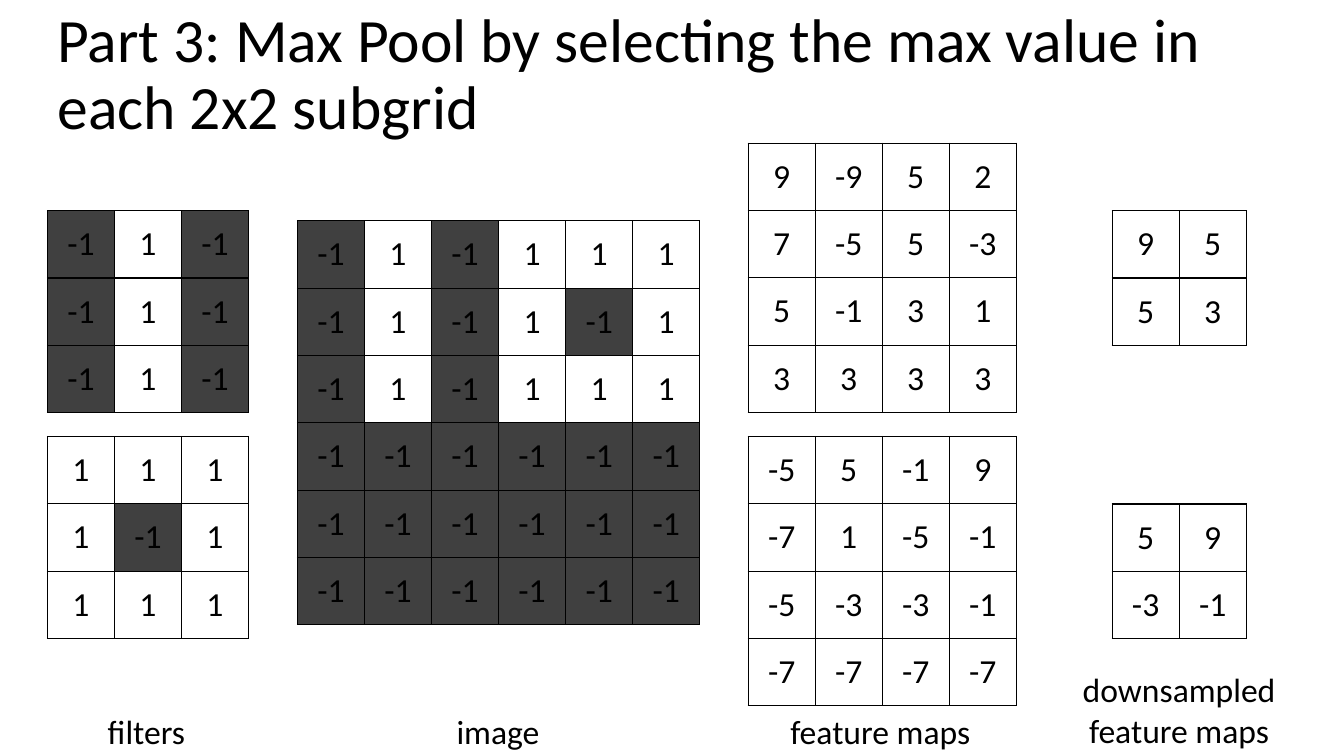
from dataclasses import dataclass

from lxml.etree import SubElement
from pptx import Presentation
from pptx.dml.color import RGBColor
from pptx.enum.text import MSO_ANCHOR as Anchor, MSO_AUTO_SIZE as AutoSize, PP_ALIGN as Align
from pptx.oxml.ns import qn
from pptx.slide import Slide
from pptx.table import _Cell as Cell
from pptx.text.text import TextFrame
from pptx.util import Inches, Pt

BLACK = RGBColor(0x00, 0x00, 0x00)
WHITE = RGBColor(0xFF, 0xFF, 0xFF)
DARK = RGBColor(0x40, 0x40, 0x40)
FONT = "Calibri"
CELL_WIDTH = Inches(3.99) // 6
CELL_HEIGHT = Inches(4.01) // 6

Matrix = list[list[int]]


@dataclass
class Grid:
    left: float
    top: float
    values: Matrix
    positive_fill: RGBColor | None = WHITE
    negative_fill: RGBColor | None = WHITE


@dataclass
class Label:
    left: float
    top: float
    width: float
    height: float
    text: str
    align: Align = Align.LEFT


def max_pool(values: Matrix) -> Matrix:
    """Keep the largest value of each 2x2 subgrid."""
    steps = range(0, len(values), 2)
    return [
        [max(values[row][col:col + 2] + values[row + 1][col:col + 2]) for col in steps]
        for row in steps
    ]


VERTICAL_FILTER = [[-1, 1, -1]] * 3
SPOT_FILTER = [[1, 1, 1], [1, -1, 1], [1, 1, 1]]
IMAGE = [
    [-1, 1, -1, 1, 1, 1],
    [-1, 1, -1, 1, -1, 1],
    [-1, 1, -1, 1, 1, 1],
] + [[-1] * 6] * 3
VERTICAL_MAP = [[9, -9, 5, 2], [7, -5, 5, -3], [5, -1, 3, 1], [3, 3, 3, 3]]
SPOT_MAP = [[-5, 5, -1, 9], [-7, 1, -5, -1], [-5, -3, -3, -1], [-7, -7, -7, -7]]

GRIDS = [
    Grid(0.47, 2.09, VERTICAL_FILTER, negative_fill=DARK),
    Grid(0.47, 4.33, SPOT_FILTER, negative_fill=DARK),
    Grid(2.95, 2.19, IMAGE, negative_fill=DARK),
    Grid(7.42, 1.42, VERTICAL_MAP, None, None),
    Grid(7.42, 4.33, SPOT_MAP, None, None),
    Grid(11.03, 2.09, max_pool(VERTICAL_MAP)),
    Grid(11.03, 5, max_pool(SPOT_MAP)),
]
LABELS = [
    Label(0.97, 7, 0.98, 0.5, "filters"),
    Label(4.43, 7, 1.03, 0.5, "image"),
    Label(7.74, 7, 2.01, 0.5, "feature maps"),
    Label(10.63, 6.59, 2.13, 0.91, "downsampled\nfeature maps", Align.CENTER),
]


def format_text(frame: TextFrame, size: int, align: Align) -> None:
    for para in frame.paragraphs:
        para.alignment = align
        for span in para.runs:
            span.font.name = FONT
            span.font.size = Pt(size)
            span.font.color.rgb = BLACK


def add_borders(cell: Cell) -> None:
    properties = cell._tc.get_or_add_tcPr()
    for position, side in enumerate(("lnL", "lnR", "lnT", "lnB")):
        line = SubElement(properties, qn(f"a:{side}"), w=str(Pt(1)))
        fill = SubElement(line, qn("a:solidFill"))
        SubElement(fill, qn("a:srgbClr"), val=str(BLACK))
        properties.insert(position, line)


def draw_cell(cell: Cell, value: int, color: RGBColor | None) -> None:
    cell.text_frame.text = str(value)
    format_text(cell.text_frame, 24, Align.CENTER)
    cell.vertical_anchor = Anchor.MIDDLE
    cell.margin_left = cell.margin_right = Inches(0.13)
    cell.margin_top = cell.margin_bottom = Inches(0.07)
    if color is None:
        cell.fill.background()
    else:
        cell.fill.solid()
        cell.fill.fore_color.rgb = color
    add_borders(cell)


def draw_grid(page: Slide, grid: Grid) -> None:
    count = len(grid.values)
    table = page.shapes.add_table(
        count, count, Inches(grid.left), Inches(grid.top),
        CELL_WIDTH * count, CELL_HEIGHT * count,
    ).table
    table.first_row = False
    table.horz_banding = False
    for row, numbers in enumerate(grid.values):
        for col, value in enumerate(numbers):
            color = grid.negative_fill if value < 0 else grid.positive_fill
            draw_cell(table.cell(row, col), value, color)


def draw_label(page: Slide, label: Label) -> None:
    box = page.shapes.add_textbox(
        Inches(label.left), Inches(label.top), Inches(label.width), Inches(label.height)
    )
    frame = box.text_frame
    frame.text = label.text
    frame.word_wrap = False
    frame.auto_size = AutoSize.SHAPE_TO_FIT_TEXT
    format_text(frame, 24, label.align)


def draw_title(page: Slide, text: str) -> None:
    title = page.shapes.title
    title.left, title.top = Inches(0.47), Inches(0.03)
    title.width, title.height = Inches(12.28), Inches(1.45)
    frame = title.text_frame
    frame.text = text
    frame.word_wrap = True
    frame.auto_size = AutoSize.NONE
    frame.vertical_anchor = Anchor.MIDDLE
    frame.paragraphs[0].line_spacing = 0.9
    format_text(frame, 44, Align.LEFT)


def main() -> None:
    deck = Presentation()
    deck.slide_width, deck.slide_height = Inches(13.33), Inches(7.5)
    page = deck.slides.add_slide(deck.slide_layouts.get_by_name("Title Only"))

    # Title
    draw_title(page, "Part 3: Max Pool by selecting the max value in each 2x2 subgrid")

    # Filters, image, feature maps and their pooled results
    for grid in GRIDS:
        draw_grid(page, grid)

    # Captions under the columns
    for label in LABELS:
        draw_label(page, label)

    deck.save("out.pptx")


if __name__ == "__main__":
    main()
